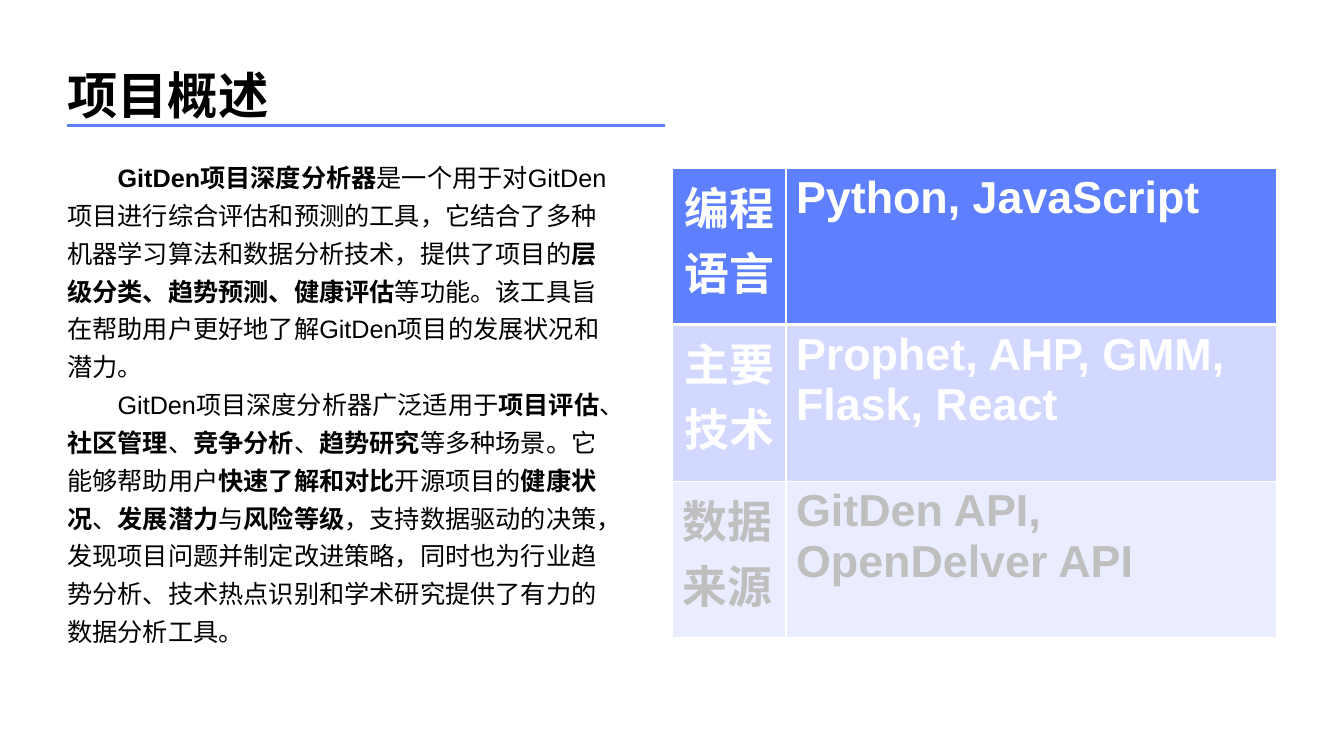
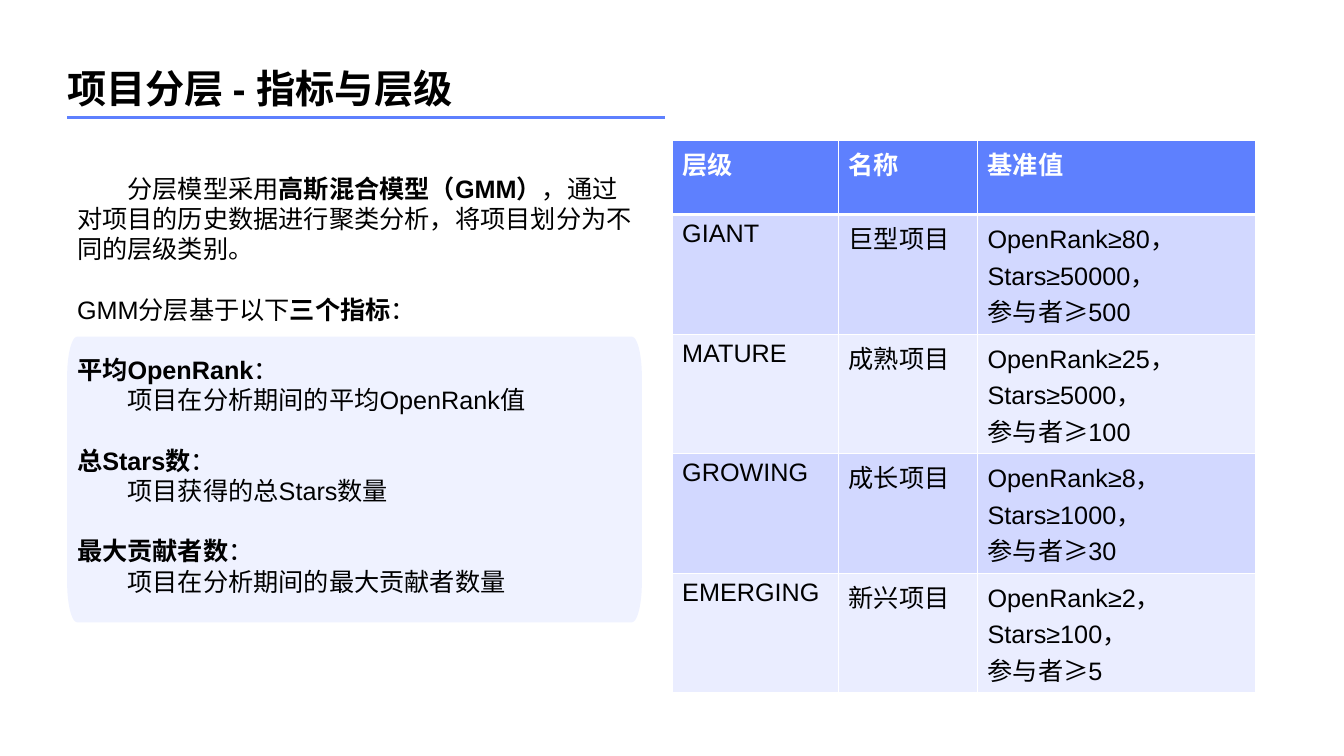
"""Build two project slides, each with a ruled title, body text and a table."""
from math import cos, pi, sin

from lxml import etree
from pptx import Presentation
from pptx.dml.color import RGBColor
from pptx.enum.lang import MSO_LANGUAGE_ID
from pptx.enum.shapes import MSO_CONNECTOR
from pptx.enum.text import MSO_ANCHOR, PP_ALIGN
from pptx.oxml.ns import qn
from pptx.util import Inches, Pt

STRAIGHT = MSO_CONNECTOR.STRAIGHT
TOP, MIDDLE = MSO_ANCHOR.TOP, MSO_ANCHOR.MIDDLE
CENTER, LEFT = PP_ALIGN.CENTER, PP_ALIGN.LEFT
CHINESE = MSO_LANGUAGE_ID.SIMPLIFIED_CHINESE

FONT = "Arial"
BLACK, WHITE, GRAY = "000000", "FFFFFF", "BFBFBF"
BLUE, PANEL = "5E80FE", "EFF2FF"
ROW_FILLS = ["D2D8FF", "EAEDFF"]

COLUMNS, ROWS = 160, 90
MARGIN, MIDLINE, RULE_END = 8, 80, 79.2
TITLE_TOP, TITLE_HEIGHT = 7.65, 8
INDENT = 6

deck = Presentation()
deck.slide_width, deck.slide_height = Inches(13.33), Inches(7.5)
UNIT = deck.slide_height / ROWS


def grid(*cells):
    """Turn grid columns or rows into slide lengths."""
    return [round(cell * UNIT) for cell in cells]


def write(frame, paragraphs, size, color, bold=False, align=LEFT, spacing=None):
    """Write (text, indent, gap) paragraphs, switching weight at each **."""
    frame.word_wrap = True
    for index, (text, indent, gap) in enumerate(paragraphs):
        line = frame.add_paragraph() if index else frame.paragraphs[0]
        line.alignment = align
        line.line_spacing = spacing
        line.space_before = Pt(gap)
        line._p.get_or_add_pPr().set("indent", str(grid(indent)[0]))
        for part, words in enumerate(text.split("**")):
            if words:
                run = line.add_run()
                run.text = words
                run.font.name = FONT
                run.font.size = Pt(size)
                run.font.bold = bold or part % 2 == 1
                run.font.color.rgb = RGBColor.from_string(color)
                run.font.language_id = CHINESE


overview = {
    "title": "项目概述",
    "title_size": 36,
    "rule_row": 14.97,
    "body_box": (MARGIN, 15, 65.95, 65.4),
    "body_inset": (0, 0),
    "body_anchor": MIDDLE,
    "line_points": 27,
    "panel": None,
    "body": [
        ("**GitDen项目深度分析器**是一个用于对GitDen项目进行综合评估和预测的工具，"
         "它结合了多种机器学习算法和数据分析技术，提供了项目的"
         "**层级分类、趋势预测、健康评估**等功能。该工具旨在帮助用户更好地了解"
         "GitDen项目的发展状况和潜力。", INDENT, 0),
        ("GitDen项目深度分析器广泛适用于**项目评估**、**社区管理**、**竞争分析**、"
         "**趋势研究**等多种场景。它能够帮助用户**快速了解和对比**开源项目的"
         "**健康状况**、**发展潜力**与**风险等级**，支持数据驱动的决策，"
         "发现项目问题并制定改进策略，同时也为行业趋势分析、技术热点识别和学术研究"
         "提供了有力的数据分析工具。", INDENT, 0),
    ],
    "table_top": 20,
    "widths": [13.55, 58.45],
    "heights": [18.65, 18.65, 18.65],
    "table_size": 32,
    "bold_rows": 3,
    "first_aligns": [CENTER, CENTER, LEFT],
    "row_colors": [WHITE, WHITE, GRAY],
    "cells": [
        ["编程语言", "Python, JavaScript"],
        ["主要技术", "Prophet, AHP, GMM, Flask, React"],
        ["数据来源", "GitDen API, OpenDelver API"],
    ],
}

GAP = 21.6
levels = [
    ("GIANT", "巨型项目", 80, 50000, 500),
    ("MATURE", "成熟项目", 25, 5000, 100),
    ("GROWING", "成长项目", 8, 1000, 30),
    ("EMERGING", "新兴项目", 2, 100, 5),
]
layers = {
    "title": "项目分层 - 指标与层级",
    "title_size": 28,
    "rule_row": 14,
    "body_box": (MARGIN, 20, 68.4, 57.8),
    "body_inset": (1.2, 0.6),
    "body_anchor": TOP,
    "line_points": GAP,
    "panel": (MARGIN, 40.08, 68.4, 34),
    "body": [
        ("分层模型采用**高斯混合模型（GMM）**，通过对项目的历史数据进行聚类分析，"
         "将项目划分为不同的层级类别。", INDENT, 0),
        ("GMM分层基于以下**三个指标**：", 0, GAP),
        ("**平均OpenRank**：", 0, GAP),
        ("项目在分析期间的平均OpenRank值", INDENT, 0),
        ("**总Stars数**：", 0, GAP),
        ("项目获得的总Stars数量", INDENT, 0),
        ("**最大贡献者数**：", 0, GAP),
        ("项目在分析期间的最大贡献者数量", INDENT, 0),
    ],
    "table_top": 16.75,
    "widths": [19.8, 16.55, 33.1],
    "heights": [8.8] + [14.23] * len(levels),
    "table_size": 18,
    "bold_rows": 1,
    "first_aligns": [LEFT] * (len(levels) + 1),
    "row_colors": [WHITE] + [BLACK] * len(levels),
    "cells": [["层级", "名称", "基准值"]] + [
        [level, name, f"OpenRank≥{rank}，\nStars≥{stars}，\n参与者≥{people}"]
        for level, name, rank, stars, people in levels
    ],
}

for topic in (overview, layers):
    slide = deck.slides.add_slide(deck.slide_layouts[6])
    shapes = slide.shapes

    heading = shapes.add_textbox(
        *grid(MARGIN, TITLE_TOP, COLUMNS - 2 * MARGIN, TITLE_HEIGHT)).text_frame
    heading.margin_left = heading.margin_right = 0
    heading.margin_top = heading.margin_bottom = 0
    write(heading, [(topic["title"], 0, 0)], topic["title_size"], BLACK, bold=True)

    rule = shapes.add_connector(
        STRAIGHT, *grid(MARGIN, topic["rule_row"], RULE_END, topic["rule_row"]))
    rule.line.color.rgb = RGBColor.from_string(BLUE)
    rule.line.width = Pt(2)
    etree.SubElement(rule._element.spPr, qn("a:effectLst"))

    if topic["panel"]:
        left, top, width, height = topic["panel"]
        round_x, round_y, steps = 1.2, 4.7, 12
        outline = []
        for corner in range(4):
            center_x = left + (width - round_x if corner in (0, 3) else round_x)
            center_y = top + (height - round_y if corner in (0, 1) else round_y)
            for step in range(steps + 1):
                angle = (corner + step / steps) * pi / 2
                outline.append(grid(center_x + round_x * cos(angle),
                                    center_y + round_y * sin(angle)))
        builder = shapes.build_freeform(*outline[0])
        builder.add_line_segments(outline[1:], close=True)
        backdrop = builder.convert_to_shape()
        backdrop.shadow.inherit = False
        backdrop.fill.solid()
        backdrop.fill.fore_color.rgb = RGBColor.from_string(PANEL)
        backdrop.line.fill.background()

    body = shapes.add_textbox(*grid(*topic["body_box"])).text_frame
    inset_x, inset_y = grid(*topic["body_inset"])
    body.margin_left = body.margin_right = inset_x
    body.margin_top = body.margin_bottom = inset_y
    body.vertical_anchor = topic["body_anchor"]
    write(body, topic["body"], 18, BLACK, spacing=Pt(topic["line_points"]))

    widths, heights = topic["widths"], topic["heights"]
    table = shapes.add_table(
        len(heights), len(widths),
        *grid(MIDLINE, topic["table_top"], sum(widths), sum(heights))).table
    table.horz_banding = False
    for column, width in zip(table.columns, grid(*widths)):
        column.width = width
    for row, height in zip(table.rows, grid(*heights)):
        row.height = height

    for r, texts in enumerate(topic["cells"]):
        fill = ROW_FILLS[(r - 1) % 2] if r else BLUE
        edges = {"lnL": 1, "lnR": 1, "lnT": 1, "lnB": 1 if r else 3}
        if r == 1:
            del edges["lnT"]
        for c, text in enumerate(texts):
            cell = table.cell(r, c)
            properties = cell._tc.get_or_add_tcPr()
            for edge, points in edges.items():
                border = etree.SubElement(properties, qn(f"a:{edge}"), w=str(Pt(points)))
                paint = etree.SubElement(border, qn("a:solidFill"))
                etree.SubElement(paint, qn("a:srgbClr"), val=WHITE)
            cell.fill.solid()
            cell.fill.fore_color.rgb = RGBColor.from_string(fill)
            write(cell.text_frame, [(line, 0, 0) for line in text.split("\n")],
                  topic["table_size"], topic["row_colors"][r],
                  bold=r < topic["bold_rows"],
                  align=LEFT if c else topic["first_aligns"][r])

deck.save("out.pptx")
